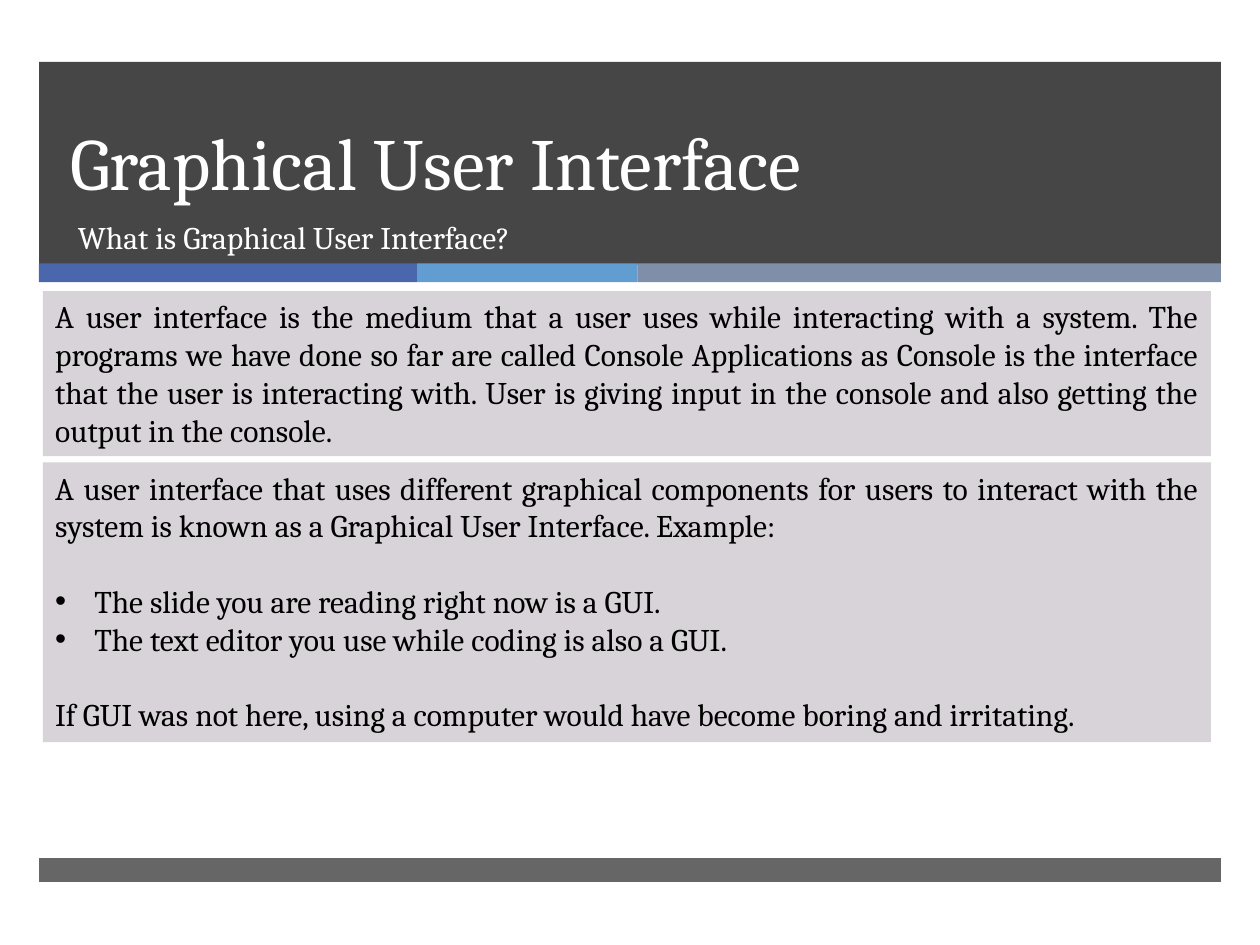
from lxml.etree import SubElement
from pptx import Presentation
from pptx.dml.color import RGBColor
from pptx.enum.shapes import MSO_SHAPE
from pptx.enum.text import MSO_ANCHOR, PP_ALIGN
from pptx.oxml.ns import qn
from pptx.util import Inches, Pt

COLORS = {"ink": "262626", "blue": "4A66AC", "sky": "629DD1", "slate": "7F8FA9",
          "panel": "D8D3D9", "white": "FFFFFF", "black": "000000"}
COLUMNS, ROWS = 100, 75
BLANK_LINE = Pt(21.5)
LEFT, WIDTH = 3.1, 93.8
PANEL_LEFT, PANEL_WIDTH = 3.4, 92.7


class Deck:
    """Holds the style and the current slide; places elements on a grid."""

    font = "Cambria"

    def __init__(self):
        """Start a presentation with one blank slide."""
        self.presentation = Presentation()
        self.presentation.slide_width = Inches(10)
        self.presentation.slide_height = Inches(7.5)
        self.slide = self.presentation.slides.add_slide(self.presentation.slide_layouts[6])

    def place(self, left, top, width, height):
        """Turn columns and rows into slide lengths."""
        column = self.presentation.slide_width / COLUMNS
        row = self.presentation.slide_height / ROWS
        return [round(n * unit) for n, unit in
                zip((left, top, width, height), (column, row, column, row))]

    def band(self, box, color, opacity=100):
        """Add a borderless rectangle, see-through when opacity is below 100."""
        band = self.slide.shapes.add_shape(MSO_SHAPE.RECTANGLE, *self.place(*box))
        band.shadow.inherit = False
        band.line.fill.background()
        band.fill.solid()
        band.fill.fore_color.rgb = RGBColor.from_string(COLORS[color])
        if opacity < 100:
            tint = band.fill._xPr.find(qn("a:solidFill"))[0]
            SubElement(tint, qn("a:alpha"), val=str(opacity * 1000))
        return band

    def fill_text(self, frame, paragraphs, size, color, anchor=MSO_ANCHOR.TOP):
        """Fill a text frame with (text, bulleted, paragraph format) entries."""
        frame.word_wrap = True
        frame.vertical_anchor = anchor
        for index, (text, bulleted, formats) in enumerate(paragraphs):
            paragraph = frame.paragraphs[0] if index == 0 else frame.add_paragraph()
            for name, value in formats.items():
                setattr(paragraph, name, value)
            run = paragraph.add_run()
            run.text = text
            for name, value in {"name": self.font, "size": Pt(size)}.items():
                setattr(run.font, name, value)
            run.font.color.rgb = RGBColor.from_string(COLORS[color])
            if bulleted:
                self.bullet(paragraph)

    def bullet(self, paragraph):
        """Give a paragraph a hanging round bullet."""
        properties = paragraph._p.get_or_add_pPr()
        indent = Inches(0.31)
        properties.set("marL", str(indent))
        properties.set("indent", str(-indent))
        SubElement(properties, qn("a:buFont"), typeface="Arial")
        SubElement(properties, qn("a:buChar"), char="•")

    def heading(self, box, text, size, anchor=MSO_ANCHOR.TOP, **formats):
        """Add a white line of text over the header."""
        heading = self.slide.shapes.add_textbox(*self.place(*box))
        self.fill_text(heading.text_frame, [(text, False, formats)], size, "white", anchor)

    def panel(self, top, height, paragraphs):
        """Add a tinted panel of justified text."""
        panel = self.band((PANEL_LEFT, top, PANEL_WIDTH, height), "panel")
        justified = [(text, bulleted, {"alignment": PP_ALIGN.JUSTIFY, **formats})
                     for text, bulleted, formats in paragraphs]
        self.fill_text(panel.text_frame, justified, 18, "black")


def build():
    """Build the slide and save it."""
    deck = Deck()
    deck.band((LEFT, 4.9, WIDTH, 16.1), "ink", 85)
    stripe_left = LEFT
    for color, width in (("blue", 30), ("sky", 17.5), ("slate", 46.3)):
        deck.band((stripe_left, 20.9, width, 1.5), color)
        stripe_left += width
    deck.band((LEFT, 68.1, WIDTH, 1.9), "ink", 70)

    deck.heading((4.6, 4.9, 85.4, 11.9), "Graphical User Interface", 42,
                 MSO_ANCHOR.BOTTOM, line_spacing=Pt(46))
    deck.heading((5.2, 16.8, 84.8, 5.3), "What is Graphical User Interface?", 18)

    gap = {"space_before": BLANK_LINE}
    deck.panel(23.1, 13.1, [
        ("A user interface is the medium that a user uses while interacting with a system. "
         "The programs we have done so far are called Console Applications as Console is "
         "the interface that the user is interacting with. User is giving input in the "
         "console and also getting the output in the console.", False, {})])
    deck.panel(36.7, 22.2, [
        ("A user interface that uses different graphical components for users to interact "
         "with the system is known as a Graphical User Interface. Example:", False, {}),
        ("The slide you are reading right now is a GUI.", True, gap),
        ("The text editor you use while coding is also a GUI.", True, {}),
        ("If GUI was not here, using a computer would have become boring and irritating.",
         False, gap)])
    deck.presentation.save("out.pptx")


build()
